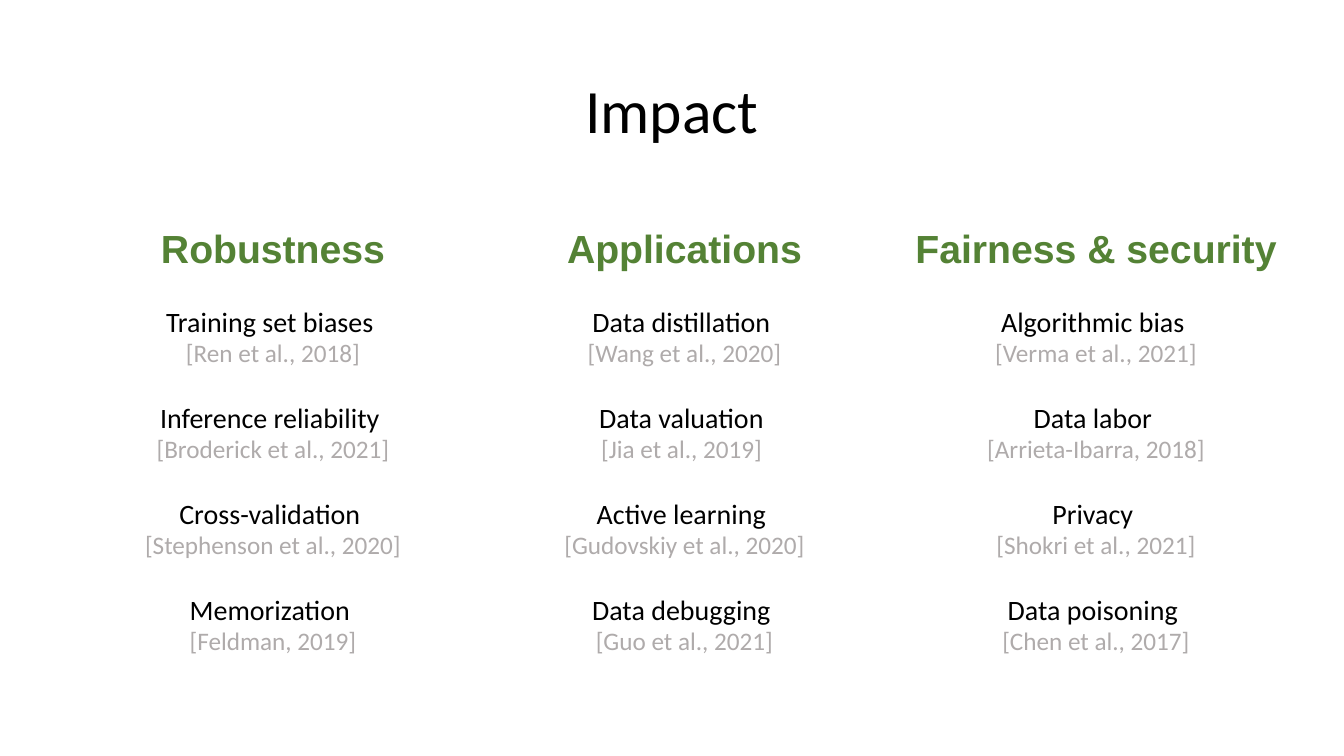
from pptx import Presentation
from pptx.dml.color import RGBColor
from pptx.enum.shapes import MSO_SHAPE
from pptx.enum.text import MSO_ANCHOR, PP_ALIGN
from pptx.util import Cm, Pt

RECT = MSO_SHAPE.RECTANGLE
TOP, MIDDLE = MSO_ANCHOR.TOP, MSO_ANCHOR.MIDDLE
CENTER = PP_ALIGN.CENTER
BLACK, WHITE, GREEN, GRAY = "000000", "FFFFFF", "548235", "AFABAB"


def color(code):
    return RGBColor.from_string(code)


def write(para, text, size, code, face="Calibri", bold=False):
    para.text = text
    para.alignment = CENTER
    font = para.runs[0].font
    font.name, font.size, font.bold = face, Pt(size), bold
    font.color.rgb = color(code)


columns = [
    ("Robustness", [
        ("Training set biases ", "[Ren et al., 2018]"),
        ("Inference reliability ", "[Broderick et al., 2021]"),
        ("Cross-validation ", "[Stephenson et al., 2020]"),
        ("Memorization ", "[Feldman, 2019]"),
    ]),
    ("Applications", [
        ("Data distillation ", "[Wang et al., 2020]"),
        ("Data valuation ", "[Jia et al., 2019] "),
        ("Active learning ", "[Gudovskiy et al., 2020]"),
        ("Data debugging ", "[Guo et al., 2021]"),
    ]),
    ("Fairness & security", [
        ("Algorithmic bias ", "[Verma et al., 2021]"),
        ("Data labor ", "[Arrieta-Ibarra, 2018]"),
        ("Privacy ", "[Shokri et al., 2021]"),
        ("Data poisoning ", "[Chen et al., 2017]"),
    ]),
]

deck = Presentation()
deck.slide_width, deck.slide_height = Cm(33.87), Cm(19.05)
slide = deck.slides.add_slide(deck.slide_layouts[5])

# Title
title = slide.shapes.title
title.left, title.top = Cm(2.33), Cm(1.01)
title.width, title.height = Cm(29.21), Cm(3.68)
title.text_frame.vertical_anchor = MIDDLE
head = title.text_frame.paragraphs[0]
write(head, "Impact", 44, BLACK)
head.line_spacing = 0.9

# One column per theme: heading, then topics with their references
for i, (theme, topics) in enumerate(columns):
    box = slide.shapes.add_shape(
        RECT, Cm(1.93 + 10.37 * i), Cm(5.54), Cm(9.9), Cm(11.5))
    box.shadow.inherit = False
    box.fill.solid()
    box.fill.fore_color.rgb = color(WHITE)
    box.line.fill.background()
    frame = box.text_frame
    frame.word_wrap = True
    frame.vertical_anchor = TOP
    write(frame.paragraphs[0], theme, 28, GREEN, "Arial", True)
    for topic, cite in topics:
        para = frame.add_paragraph()
        write(para, topic, 20, BLACK)
        para.space_before = Pt(23)
        write(frame.add_paragraph(), cite, 18, GRAY)

deck.save("out.pptx")
